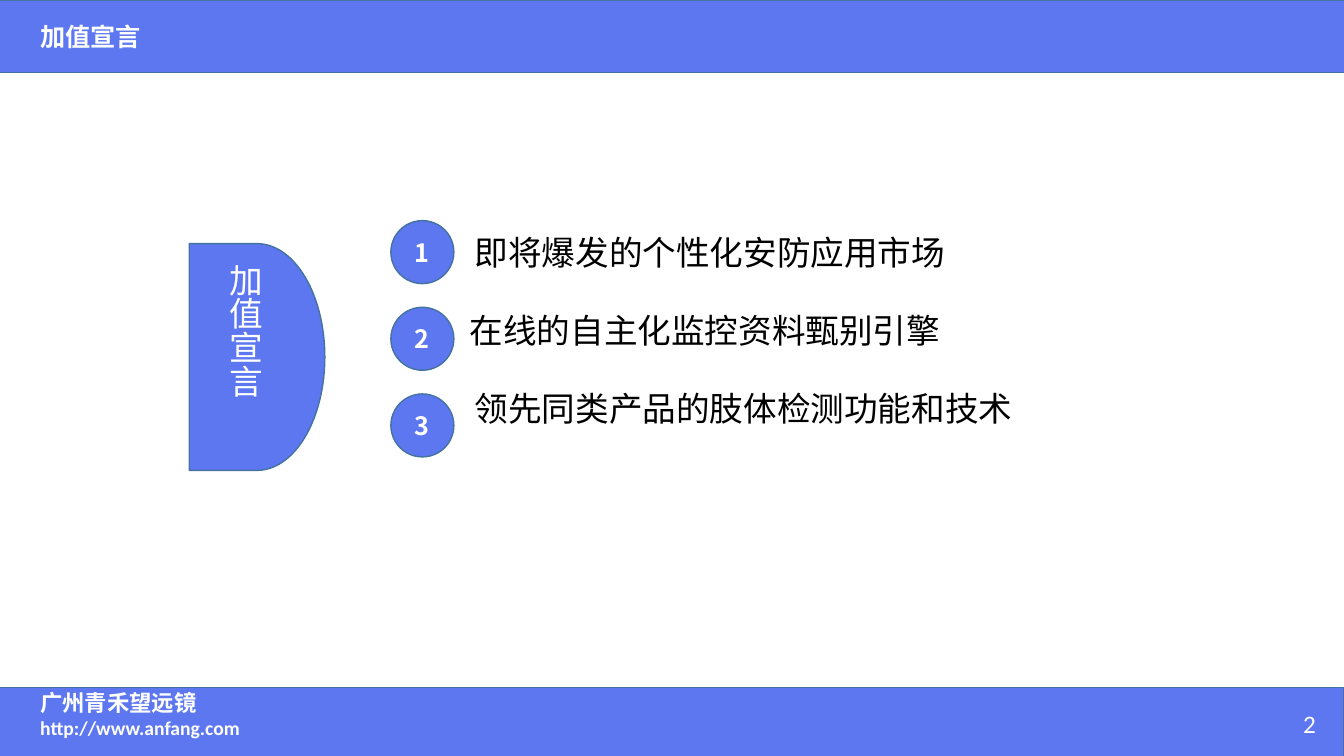
from dataclasses import dataclass

from pptx import Presentation
from pptx import util as u
from pptx.dml.color import RGBColor
from pptx.enum import shapes, text
from pptx.oxml import parse_xml
from pptx.oxml.ns import nsdecls


@dataclass(frozen=True)
class Theme:
    blue: RGBColor = RGBColor(0x5D, 0x77, 0xF1)
    edge: RGBColor = RGBColor(0x43, 0x73, 0x9E)
    white: RGBColor = RGBColor(0xFF, 0xFF, 0xFF)
    black: RGBColor = RGBColor(0, 0, 0)
    latin: str = "Calibri"
    chinese: str = "Noto Sans CJK JP"
    large: int = 24
    medium: int = 18
    company: int = 16
    address: int = 14


class SlideBuilder:
    def __init__(self, page, theme):
        self.page = page
        self.theme = theme

    def add_span(self, para, wording, size, color=None, bold=False, font=None):
        """Add one formatted span to a paragraph."""
        name = font or self.theme.chinese
        span = para.add_run()
        span.text = wording
        formats = {"name": name, "size": u.Pt(size), "bold": bold}
        for key, value in formats.items():
            setattr(span.font, key, value)
        span.font.color.rgb = color or self.theme.white
        east_asian = parse_xml(f'<a:ea {nsdecls("a")} typeface="{name}"/>')
        span._r.get_or_add_rPr().append(east_asian)

    def shape(self, kind, left, top, width, height):
        """Add a blue shape with a thin edge."""
        box = self.page.shapes.add_shape(
            kind, *map(u.Pt, (left, top, width, height)))
        box.shadow.inherit = False
        box.fill.solid()
        box.fill.fore_color.rgb = self.theme.blue
        box.line.color.rgb = self.theme.edge
        box.line.width = u.Pt(1)
        return box

    def badge(self, number, left, top, size):
        """Add a numbered circle."""
        box = self.shape(shapes.MSO_SHAPE.OVAL, left, top, size, size)
        frame = box.text_frame
        for side in ("left", "top", "right", "bottom"):
            setattr(frame, f"margin_{side}", 0)
        frame.vertical_anchor = text.MSO_ANCHOR.MIDDLE
        para = frame.paragraphs[0]
        para.alignment = text.PP_ALIGN.CENTER
        self.add_span(para, str(number), self.theme.medium, bold=True)

    def label(self, spans, left, top, width, height, size,
              bold=False, vertical=False):
        """Add a text box from (wording, font) pairs."""
        box = self.page.shapes.add_textbox(
            *map(u.Pt, (left, top, width, height)))
        frame = box.text_frame
        frame.word_wrap = False
        frame.auto_size = text.MSO_AUTO_SIZE.SHAPE_TO_FIT_TEXT
        if vertical:
            frame._txBody.bodyPr.set("vert", "eaVert")
        for wording, font in spans:
            self.add_span(frame.paragraphs[0], wording, size,
                          bold=bold, font=font)

    def placeholder(self, index, left, top, width, height, anchor):
        """Move a template placeholder in front and return its text frame."""
        box = self.page.placeholders[index]
        box.element.getparent().append(box.element)
        places = {"left": left, "top": top, "width": width, "height": height}
        for key, value in places.items():
            setattr(box, key, u.Pt(value))
        frame = box.text_frame
        formats = {"word_wrap": True, "vertical_anchor": anchor,
                   "auto_size": text.MSO_AUTO_SIZE.NONE}
        for key, value in formats.items():
            setattr(frame, key, value)
        return frame

    def title(self, wording, *place):
        """Fill the title."""
        frame = self.placeholder(0, *place, text.MSO_ANCHOR.MIDDLE)
        para = frame.paragraphs[0]
        para.alignment = text.PP_ALIGN.LEFT
        self.add_span(para, wording, self.theme.medium, bold=True)

    def statement_list(self, items, gap, *place):
        """Fill the body with (wording, indent) pairs."""
        frame = self.placeholder(1, *place, text.MSO_ANCHOR.TOP)
        for order, (wording, indent) in enumerate(items):
            para = frame.add_paragraph() if order else frame.paragraphs[0]
            properties = para._p.get_or_add_pPr()
            properties.set("marL", str(u.Pt(indent)))
            properties.set("indent", "0")
            properties.append(parse_xml(f'<a:buNone {nsdecls("a")}/>'))
            formats = {"alignment": text.PP_ALIGN.LEFT, "line_spacing": 1.0,
                       "space_before": u.Pt(gap if order else 0),
                       "space_after": u.Pt(0)}
            for key, value in formats.items():
                setattr(para, key, value)
            self.add_span(para, wording, self.theme.large, self.theme.black)


def main():
    deck = Presentation()
    deck.slide_width, deck.slide_height = u.Pt(960), u.Pt(540)
    theme = Theme()
    page = deck.slides.add_slide(deck.slide_layouts[1])
    builder = SlideBuilder(page, theme)

    # Header and footer bars
    for left, top in ((-0.7, 0.5), (-2.2, 491)):
        builder.shape(shapes.MSO_SHAPE.RECTANGLE, left, top, 962, 51.5)
    builder.title("加值宣言", 21.6, 11.5, 400, 29)

    # Footer wording
    builder.label([("广州", theme.latin), ("青禾望远镜", theme.chinese)],
                  21.6, 489, 127, 27, theme.company, bold=True)
    builder.label([("http://www.anfang.com", theme.latin)],
                  21.6, 507.6, 173, 24.5, theme.address, bold=True)
    builder.label([("2", theme.latin)], 923.8, 502.6, 24.5, 29, theme.medium)

    # Section marker
    builder.shape(shapes.MSO_SHAPE.FLOWCHART_DELAY, 135.2, 174, 96.8, 162)
    builder.label([("加值宣言", theme.chinese)], 150, 181.4, 43, 103,
                  theme.large, vertical=True)

    # Numbered statements
    statements = [("即将爆发的个性化安防应用市场", 3.6),
                  ("在线的自主化监控资料甄别引擎", 0),
                  ("领先同类产品的肢体检测功能和技术", 3.6)]
    pitch = 61.9
    for order in range(len(statements)):
        builder.badge(order + 1, 279.2, 157.6 + order * pitch, 45)
    builder.statement_list(statements, 27.1, 328.3, 162, 440, 175)

    deck.save("out.pptx")


if __name__ == "__main__":
    main()
